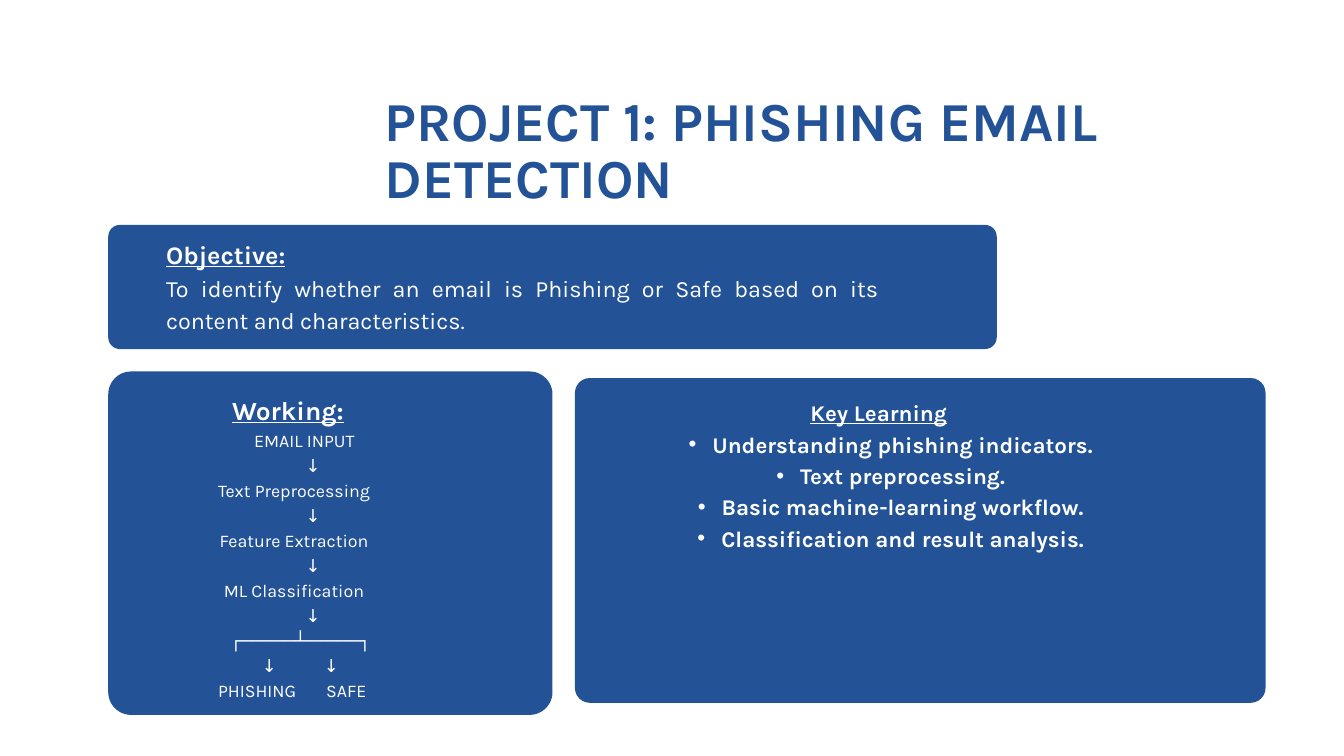
from lxml import etree
from pptx import Presentation
from pptx.dml.color import RGBColor
from pptx.enum.shapes import MSO_SHAPE
from pptx.enum.text import MSO_ANCHOR, MSO_AUTO_SIZE, PP_ALIGN
from pptx.oxml.ns import qn
from pptx.util import Pt

LEFT, CENTER, JUSTIFY = PP_ALIGN.LEFT, PP_ALIGN.CENTER, PP_ALIGN.JUSTIFY
ROUNDED = MSO_SHAPE.ROUNDED_RECTANGLE
TOP = MSO_ANCHOR.TOP
NO_AUTOFIT = MSO_AUTO_SIZE.NONE

FONT = "Karla"
COLORS = {"blue": "235396", "white": "FFFFFF"}
FLOW = {"size": 19.1, "spacing": 26.8, "align": CENTER}
STEPS = ["Text Preprocessing", "Feature Extraction", "ML Classification"]
# Each row of the branch: top, then text and centre of each item.
BRANCH_ROWS = [
    (697.6, [("↓", 288.5), ("↓", 355)]),
    (724.4, [("PHISHING", 275.5), ("SAFE", 371)]),
]
LESSONS = [
    "Understanding phishing indicators.",
    "Text preprocessing.",
    "Basic machine-learning workflow.",
    "Classification and result analysis.",
]


def add_panel(s, x, y, w, h, radius):
    sp = s.shapes.add_shape(ROUNDED, Pt(x), Pt(y), Pt(w), Pt(h))
    sp.adjustments[0] = radius / min(w, h)
    sp.shadow.inherit = False
    sp.fill.solid()
    sp.fill.fore_color.rgb = RGBColor.from_string(COLORS["blue"])
    sp.line.fill.background()


def prepare_text(sp, x, y, w, h):
    """Place a text shape and return its frame without insets or autofit."""
    sp.left, sp.top, sp.width, sp.height = Pt(x), Pt(y), Pt(w), Pt(h)
    tf = sp.text_frame
    tf.margin_left = tf.margin_top = tf.margin_right = tf.margin_bottom = 0
    tf.word_wrap = True
    tf.auto_size = NO_AUTOFIT
    tf.vertical_anchor = TOP
    return tf


def add_textbox(s, x, y, w, h):
    return prepare_text(s.shapes.add_textbox(0, 0, 0, 0), x, y, w, h)


def add_text(tf, text, size, spacing, align=LEFT, color="white", bold=False,
             underline=False, margin=0, indent=0, bullet=None):
    """Fill the first paragraph if it is empty, otherwise append one."""
    first = tf.paragraphs[0]
    p = tf.add_paragraph() if first.runs else first
    p.alignment = align
    p.line_spacing = Pt(spacing)
    p.space_before = p.space_after = Pt(0)
    pPr = p._p.get_or_add_pPr()
    pPr.set("marL", str(Pt(margin)))
    pPr.set("indent", str(Pt(indent)))
    if bullet:
        p.level = 1
        etree.SubElement(pPr, qn("a:buChar"), char=bullet)
    else:
        etree.SubElement(pPr, qn("a:buNone"))
    r = p.add_run()
    r.text = text
    f = r.font
    f.name, f.size, f.bold, f.underline = FONT, Pt(size), bold, underline
    f.color.rgb = RGBColor.from_string(COLORS[color])


def add_objective(s):
    tf = add_textbox(s, 178, 251, 763, 128)
    add_text(tf, "Objective:", 27, 37.7, JUSTIFY, bold=True, underline=True)
    add_text(tf, "To identify whether an email is Phishing or Safe based on its "
             "content and characteristics.", 25, 34.9, JUSTIFY)


def fill_working(sp):
    """Write the flow; a left margin shifts a centred line by half its size."""
    tf = prepare_text(sp, 116, 417, 385, 281)
    add_text(tf, "Working:", 28.1, 39.4, CENTER, bold=True, underline=True)
    add_text(tf, "EMAIL INPUT", margin=35, **FLOW)
    for step in STEPS:
        add_text(tf, "↓", margin=54, **FLOW)
        add_text(tf, step, margin=13, **FLOW)
    add_text(tf, "↓", margin=54, **FLOW)
    add_text(tf, "┌─────┴─────┐", margin=27, **FLOW)


def add_branches(s):
    width = 92
    for y, items in BRANCH_ROWS:
        for text, center in items:
            tf = add_textbox(s, center - width / 2, y, width, FLOW["spacing"])
            add_text(tf, text, **FLOW)


def fill_learning(sp):
    tf = prepare_text(sp, 659, 423, 565, 251)
    style = {"size": 24, "spacing": 33.6, "align": CENTER, "bold": True}
    add_text(tf, "Key Learning", underline=True, **style)
    for lesson in LESSONS:
        add_text(tf, lesson, margin=51, indent=-25.5, bullet="•", **style)


def main():
    prs = Presentation()
    prs.slide_width, prs.slide_height = Pt(1440), Pt(810)
    two_content = prs.slide_layouts[3]
    s = prs.slides.add_slide(two_content)
    title, working, learning = s.placeholders

    add_panel(s, 116, 241, 952, 133, 12.5)
    add_panel(s, 116, 398, 476, 368, 24.5)
    add_panel(s, 616, 405, 740, 348, 16)
    # Panels belong behind the placeholder text.
    for sp in (title, working, learning):
        s.shapes._spTree.append(sp._element)

    tf = prepare_text(title, 412, 101.5, 985, 124)
    add_text(tf, "PROJECT 1: PHISHING EMAIL DETECTION", 58.8, 61.7,
             color="blue", bold=True)
    add_objective(s)
    fill_working(working)
    add_branches(s)
    fill_learning(learning)
    prs.save("out.pptx")


if __name__ == "__main__":
    main()
